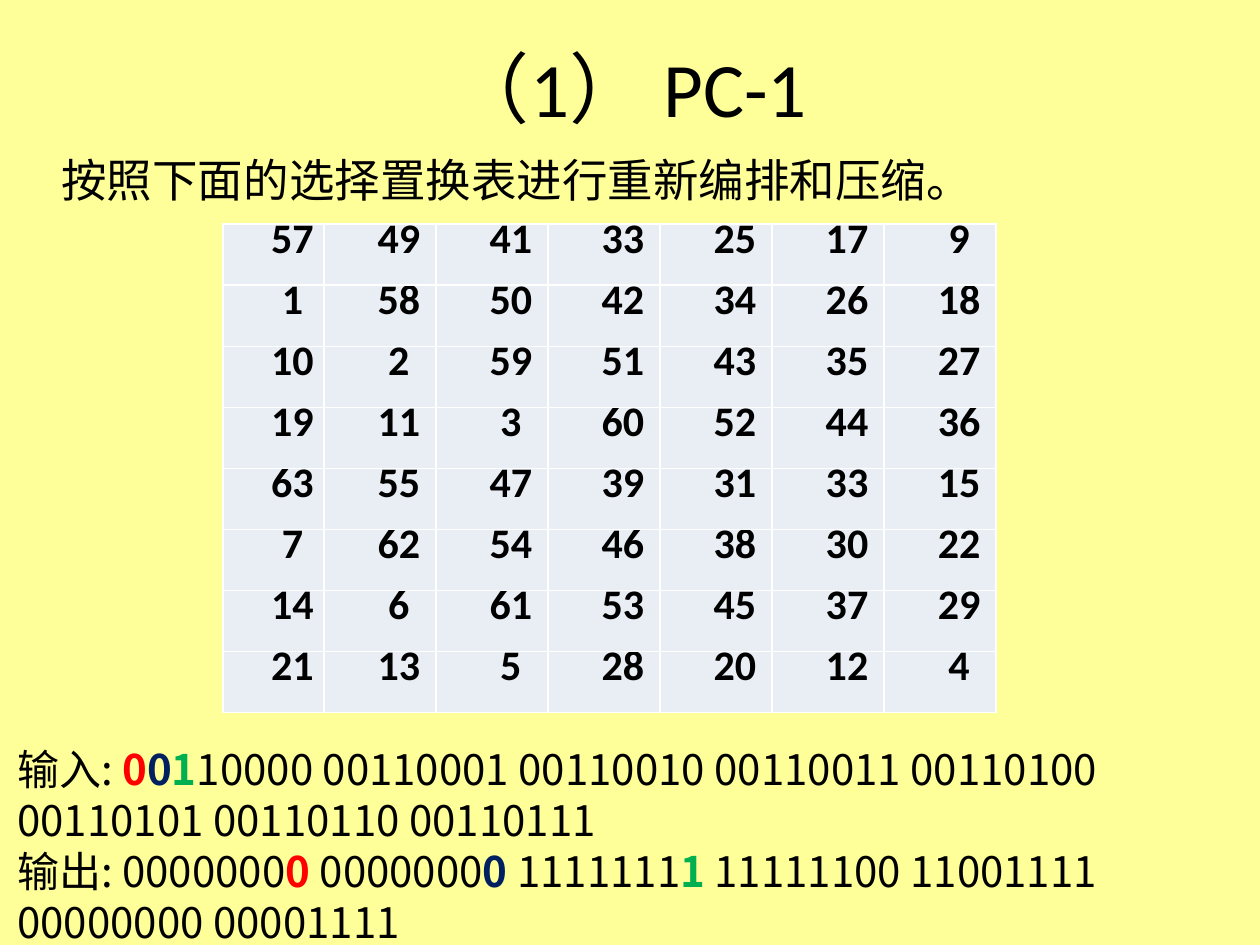
"""Build the slide on the PC-1 permuted choice table."""
from pptx import Presentation
from pptx.dml.color import RGBColor
from pptx.enum.text import MSO_ANCHOR as ANCHOR, PP_ALIGN as ALIGN
from pptx.oxml.ns import qn
from pptx.util import Cm, Pt

BLACK = RGBColor(0x00, 0x00, 0x00)
RED = RGBColor(0xFF, 0x00, 0x00)
NAVY = RGBColor(0x00, 0x20, 0x60)
GREEN = RGBColor(0x00, 0xB0, 0x50)
CELL = RGBColor(0xE9, 0xED, 0xF4)
PAGE = RGBColor(0xFF, 0xFF, 0x99)
LATIN, CJK = "Calibri", "Noto Sans CJK SC"


def add_text(p, text, size=24, font=CJK, color=BLACK, bold=False,
             align=ALIGN.LEFT, spacing=None):
    p.alignment = align
    p.line_spacing = spacing
    r = p.add_run()
    r.text = text
    r.font.size = Pt(size)
    r.font.name = font
    r.font.bold = bold
    r.font.color.rgb = color
    ea = r.font._element.makeelement(qn("a:ea"), {"typeface": CJK})
    r.font._element.find(qn("a:latin")).addnext(ea)


def add_box(s, left, top, width, height, anchor=ANCHOR.TOP):
    tf = s.shapes.add_textbox(Cm(left), Cm(top), Cm(width), Cm(height)).text_frame
    tf.word_wrap = True
    tf.vertical_anchor = anchor
    return tf


prs = Presentation()
prs.slide_width, prs.slide_height = Cm(25.4), Cm(19.05)
s = prs.slides.add_slide(prs.slide_layouts[6])
s.background.fill.solid()
s.background.fill.fore_color.rgb = PAGE

tf = add_box(s, 1.9, 0.36, 21.6, 2.77, ANCHOR.MIDDLE)
add_text(tf.paragraphs[0], "（1） PC-1", size=44, font=LATIN, align=ALIGN.CENTER)

tf = add_box(s, 0.99, 2.92, 23.5, 1.6)
add_text(tf.paragraphs[0], "按照下面的选择置换表进行重新编排和压缩。",
         size=26, spacing=Pt(32))

tf = add_box(s, 0.1, 14.76, 25.3, 4.37)
tf.margin_top = Cm(0.23)
lines = [
    [("输入: ", BLACK), ("0", RED), ("0", NAVY), ("1", GREEN),
     ("10000 00110001 00110010 00110011 00110100 00110101 00110110 00110111", BLACK)],
    [("输出: 0000000", BLACK), ("0", RED), (" 0000000", BLACK), ("0", NAVY),
     (" 1111111", BLACK), ("1", GREEN),
     (" 11111100 11001111 00000000 00001111", BLACK)],
]
for i, line in enumerate(lines):
    p = tf.add_paragraph() if i else tf.paragraphs[0]
    for text, color in line:
        add_text(p, text, color=color, bold=color != BLACK, spacing=Pt(29))

pc1 = [
    [57, 49, 41, 33, 25, 17, 9],
    [1, 58, 50, 42, 34, 26, 18],
    [10, 2, 59, 51, 43, 35, 27],
    [19, 11, 3, 60, 52, 44, 36],
    [63, 55, 47, 39, 31, 33, 15],
    [7, 62, 54, 46, 38, 30, 22],
    [14, 6, 61, 53, 45, 37, 29],
    [21, 13, 5, 28, 20, 12, 4],
]
table = s.shapes.add_table(len(pc1), len(pc1[0]), Cm(4.5), Cm(4.52),
                           Cm(15.6), Cm(9.8)).table
table.first_row = table.horz_banding = False
for i, col in enumerate(table.columns):
    col.width = Cm(2.26 if i else 2.03)
for row, values in zip(table.rows, pc1):
    row.height = Cm(1.23)
    for cell, value in zip(row.cells, values):
        cell.fill.solid()
        cell.fill.fore_color.rgb = CELL
        cell.vertical_anchor = ANCHOR.MIDDLE
        cell.margin_left = cell.margin_right = 0
        cell.margin_top = cell.margin_bottom = 0
        p = cell.text_frame.paragraphs[0]
        add_text(p, str(value), font=LATIN, bold=True, align=ALIGN.CENTER,
                 spacing=Pt(12))
        p._p.get_or_add_pPr().set("indent", str(Cm(0.76)))

prs.save("out.pptx")
